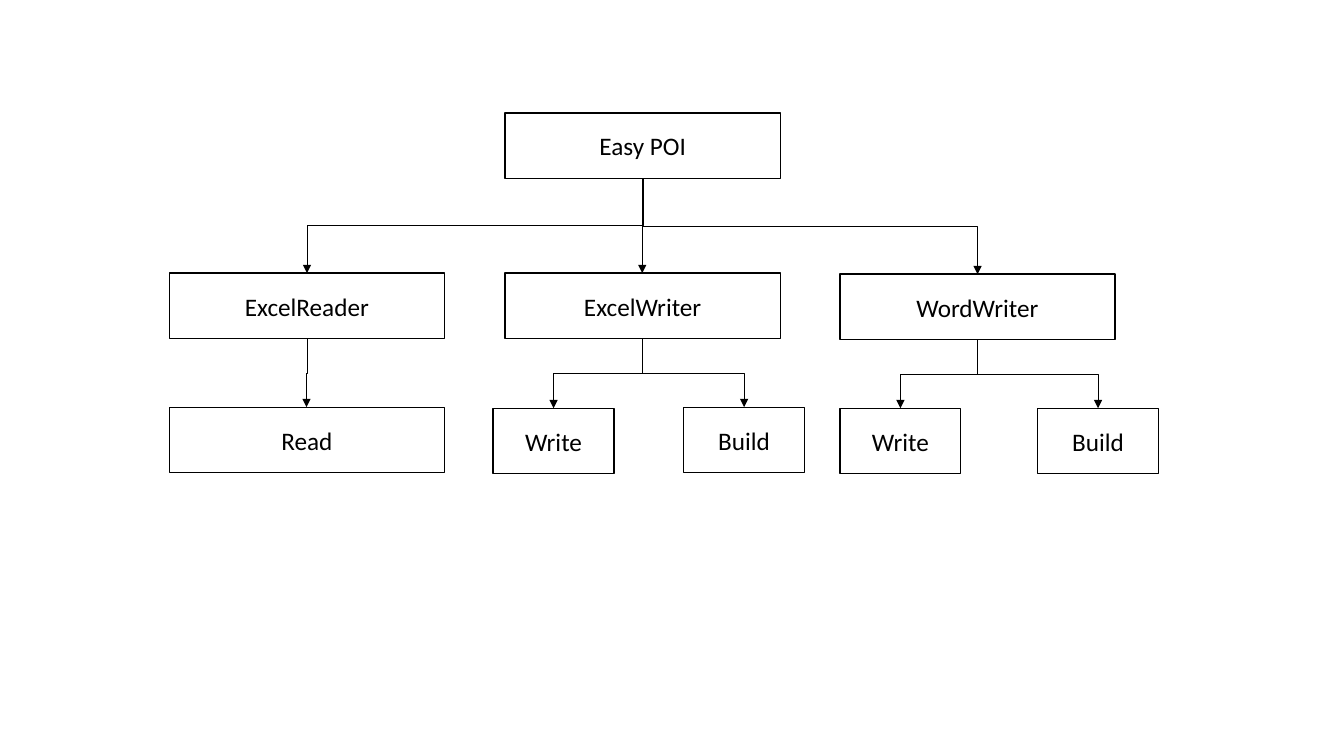
import pptx
import pptx.dml.color
import pptx.enum.shapes
import pptx.enum.text
import pptx.oxml
import pptx.oxml.ns
import pptx.util

Inches = pptx.util.Inches
Pt = pptx.util.Pt

# Content: name, label, left, top, size of each box
BOXES = [
    ("root", "Easy POI", 5.01, 1.12, "wide"),
    ("reader", "ExcelReader", 1.68, 2.71, "wide"),
    ("sheet", "ExcelWriter", 5.01, 2.71, "wide"),
    ("text", "WordWriter", 8.33, 2.72, "wide"),
    ("read", "Read", 1.68, 4.04, "wide"),
    ("sheet write", "Write", 4.89, 4.05, "narrow"),
    ("sheet build", "Build", 6.78, 4.04, "narrow"),
    ("text write", "Write", 8.33, 4.05, "narrow"),
    ("text build", "Build", 10.29, 4.05, "narrow"),
]
CHILDREN = {
    "root": ["reader", "sheet", "text"],
    "reader": ["read"],
    "sheet": ["sheet write", "sheet build"],
    "text": ["text write", "text build"],
}
WIDTHS = {"wide": 2.73, "narrow": 1.2}
BOX_HEIGHT = 0.65
BOTTOM_SITE, TOP_SITE = 2, 0

THEME = {
    "ink": pptx.dml.color.RGBColor(0, 0, 0),
    "font": "Calibri",
    "text_size": Pt(18),
    "box_line": Pt(1),
    "arrow_line": Pt(0.5),
}


def write_text(shape, text, size=THEME["text_size"], color=THEME["ink"]):
    frame = shape.text_frame
    frame.word_wrap = True
    frame.vertical_anchor = pptx.enum.text.MSO_ANCHOR.MIDDLE
    paragraph = frame.paragraphs[0]
    paragraph.alignment = pptx.enum.text.PP_ALIGN.CENTER
    run = paragraph.add_run()
    run.text = text
    run.font.name = THEME["font"]
    run.font.size = size
    run.font.color.rgb = color


def add_box(slide, label, left, top, width):
    box = slide.shapes.add_shape(
        pptx.enum.shapes.MSO_SHAPE.RECTANGLE,
        Inches(left), Inches(top), Inches(width), Inches(BOX_HEIGHT))
    box.shadow.inherit = False
    box.fill.background()
    box.line.color.rgb = THEME["ink"]
    box.line.width = THEME["box_line"]
    write_text(box, label)
    return box


def add_arrow(slide, parent, child):
    start_x, start_y = parent.left + parent.width // 2, parent.top + parent.height
    end_x, end_y = child.left + child.width // 2, child.top
    arrow = slide.shapes.add_connector(
        pptx.enum.shapes.MSO_CONNECTOR.ELBOW, start_x, start_y, end_x, end_y)
    arrow.begin_connect(parent, BOTTOM_SITE)
    arrow.end_connect(child, TOP_SITE)
    arrow.line.color.rgb = THEME["ink"]
    arrow.line.width = THEME["arrow_line"]

    # A quarter turn makes the elbow leave downwards
    drop = end_y - start_y
    spread = max(abs(end_x - start_x), Inches(0.01))
    arrow.left = (start_x + end_x - drop) // 2
    arrow.top = (start_y + end_y - spread) // 2
    arrow.width, arrow.height = drop, spread
    frame = arrow._element.spPr.find(pptx.oxml.ns.qn("a:xfrm"))
    for flip in ("flipH", "flipV"):
        frame.attrib.pop(flip, None)
    goes_right = end_x > start_x
    frame.set("rot", str((270 if goes_right else 90) * 60000))
    if goes_right:
        frame.set("flipH", "1")

    # Arrowhead, and no shadow
    namespace = pptx.oxml.ns.nsdecls("a")
    arrow.line._get_or_add_ln().append(
        pptx.oxml.parse_xml(f'<a:tailEnd {namespace} type="triangle"/>'))
    arrow._element.spPr.append(pptx.oxml.parse_xml(f"<a:effectLst {namespace}/>"))


def main():
    presentation = pptx.Presentation()
    presentation.slide_width = Inches(13.33)
    presentation.slide_height = Inches(7.5)
    slide = presentation.slides.add_slide(presentation.slide_layouts[6])

    # Boxes
    boxes = {name: add_box(slide, label, left, top, WIDTHS[size])
             for name, label, left, top, size in BOXES}

    # Arrows from each box to its children
    for parent, children in CHILDREN.items():
        for child in children:
            add_arrow(slide, boxes[parent], boxes[child])

    presentation.save("out.pptx")


if __name__ == "__main__":
    main()
